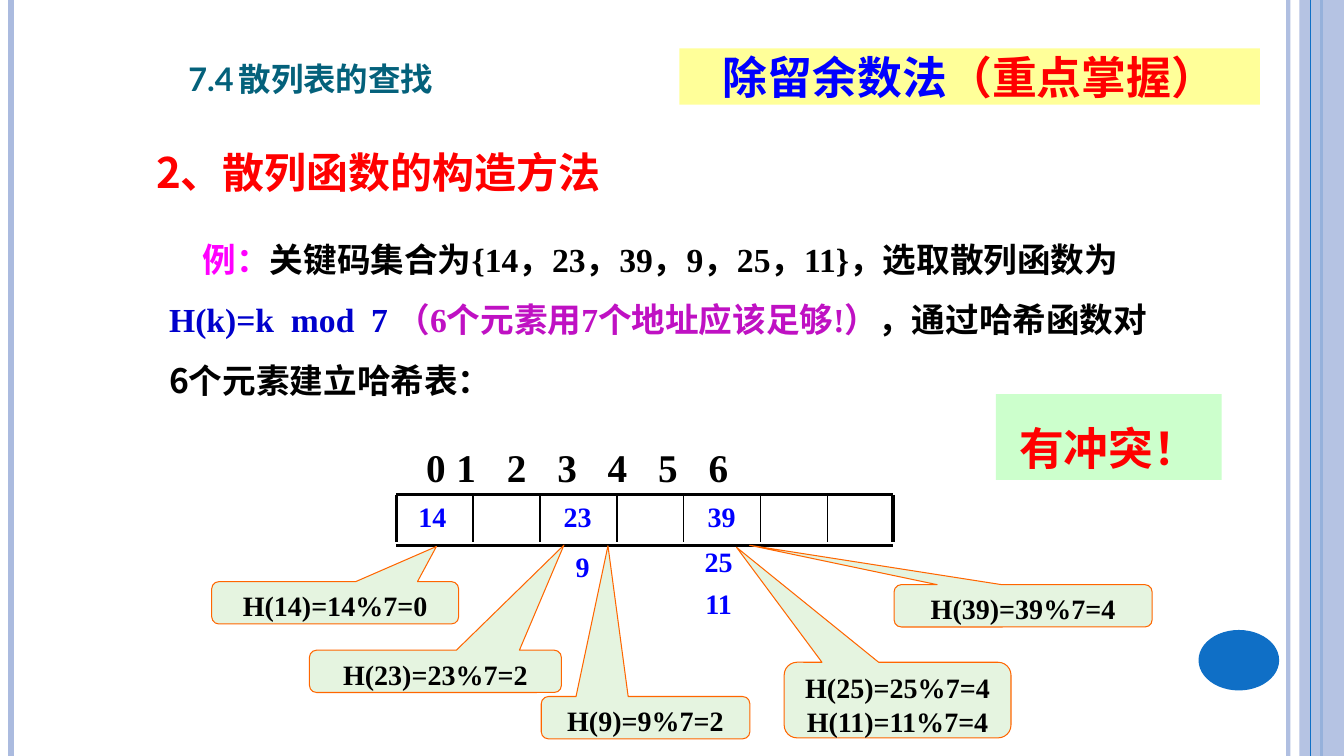
from dataclasses import dataclass
from itertools import accumulate

from pptx import Presentation
from pptx import util as u
from pptx.dml import color as dml
from pptx.enum import shapes, text
from pptx.oxml import ns
from lxml import etree

WIDE, HIGH = u.Inches(13.33), u.Inches(7.5)
COLS, ROWS = 40, 22.5
SERIF, SANS = "Times New Roman", "Noto Sans CJK SC"
HEX = {
    "mist": "ABBBDF", "ocean": "0F6FC6", "teal": "04617B", "red": "FF0000",
    "blue": "0000FF", "navy": "0000CC", "pink": "FF00FF", "plum": "BF11C3",
    "black": "000000", "cream": "FFFF99", "mint": "CCFFCC", "leaf": "E5F4E0",
    "orange": "FF6600",
}


@dataclass
class Box:
    x: float
    y: float
    w: float
    h: float


@dataclass
class Span:
    words: str
    hue: str
    font: str = SERIF


@dataclass
class Rule:
    x: float
    y: float
    to_x: float
    to_y: float
    hue: str
    width: float
    alpha: int = 100


@dataclass
class Slot:
    words: str
    x: float
    y: float


@dataclass
class Callout:
    lines: list[str]
    box: Box
    tip: tuple[float, float]


def across(cols: float) -> int:
    return round(cols * WIDE / COLS)


def down(rows: float) -> int:
    return round(rows * HIGH / ROWS)


def frame(box: Box) -> tuple[int, int, int, int]:
    return across(box.x), down(box.y), across(box.w), down(box.h)


def tint(target, hue: str, alpha: int = 100) -> None:
    target.solid()
    target.fore_color.rgb = dml.RGBColor.from_string(HEX[hue])
    if alpha < 100:
        node = target._xPr.find(".//" + ns.qn("a:srgbClr"))
        etree.SubElement(node, ns.qn("a:alpha"), val=str(alpha * 1000))


def write(shape, *paras: list[Span], size: float, align=text.PP_ALIGN.LEFT,
          anchor=text.MSO_ANCHOR.TOP, space: float = 0, indent: float = 0,
          margin: float = 0, tabs: tuple = (), caps: bool = False) -> None:
    body = shape.text_frame
    body.word_wrap = True
    body.vertical_anchor = anchor
    for k, spans in enumerate(paras):
        para = body.add_paragraph() if k else body.paragraphs[0]
        para.alignment = align
        if space:
            para.line_spacing = space
        props = para._p.get_or_add_pPr()
        props.set("marL", str(across(margin)))
        props.set("indent", str(across(indent)))
        if tabs:
            stops = etree.SubElement(props, ns.qn("a:tabLst"))
            for stop in tabs:
                etree.SubElement(stops, ns.qn("a:tab"), pos=str(across(stop)), algn="l")
        for span in spans:
            run = para.add_run()
            run.text = span.words
            run.font.size = u.Pt(size)
            run.font.bold = True
            run.font.name = span.font
            run.font.color.rgb = dml.RGBColor.from_string(HEX[span.hue])
            marks = run._r.get_or_add_rPr()
            etree.SubElement(marks, ns.qn("a:ea"), typeface=SANS)
            if caps:
                marks.set("cap", "small")


def label(slide, box: Box, *paras: list[Span], **style) -> None:
    write(slide.shapes.add_textbox(*frame(box)), *paras, **style)


def block(slide, kind, box: Box, hue: str, alpha: int = 100):
    shape = slide.shapes.add_shape(kind, *frame(box))
    shape.shadow.inherit = False
    tint(shape.fill, hue, alpha)
    shape.line.fill.background()
    return shape


def stroke(slide, rule: Rule) -> None:
    line = slide.shapes.add_connector(
        shapes.MSO_CONNECTOR.STRAIGHT, across(rule.x), down(rule.y),
        across(rule.to_x), down(rule.to_y))
    line.line.width = u.Pt(rule.width)
    tint(line.line.fill, rule.hue, rule.alpha)
    etree.SubElement(line._element.spPr, ns.qn("a:effectLst"))


def bubble(slide, note: Callout) -> None:
    shape = block(slide, shapes.MSO_SHAPE.ROUNDED_RECTANGULAR_CALLOUT, note.box, "leaf")
    shape.adjustments[0], shape.adjustments[1] = note.tip
    shape.adjustments[2] = 0.17
    tint(shape.line.fill, "orange")
    shape.line.width = u.Pt(0.75)
    write(shape, *[[Span(line, "black")] for line in note.lines], size=20, align=MID)


def upright(x: float, hue: str, width: float, alpha: int = 100) -> Rule:
    return Rule(x, 0, x, ROWS, hue, width, alpha)


MID = text.PP_ALIGN.CENTER
RECT = shapes.MSO_SHAPE.RECTANGLE
LEFT, TOP, BASE = 11.79, 14.73, 16.23
EDGES = list(accumulate([2.29, 1.99] * 3 + [1.95], initial=LEFT))

SLOTS = [
    Slot("14", 12.06, TOP), Slot("23", 16.38, TOP), Slot("39", 20.67, TOP),
    Slot("9", 16.53, 16.2), Slot("25", 20.58, 16.05), Slot("11", 20.58, 17.31),
]
NOTES = [
    Callout(["H(14)=14%7=0"], Box(6.3, 17.31, 7.35, 1.26), (0.41, -1.33)),
    Callout(["H(25)=25%7=4", "H(11)=11%7=4"], Box(23.34, 19.71, 6.75, 2.25), (-0.71, -2.02)),
    Callout(["H(23)=23%7=2"], Box(9.21, 19.35, 7.5, 1.26), (0.51, -2.98)),
    Callout(["H(39)=39%7=4"], Box(26.61, 17.4, 7.68, 1.26), (-1.06, -1.43)),
    Callout(["H(9)=9%7=2"], Box(16.11, 20.73, 6.21, 1.26), (-0.18, -4.06)),
]


def border(slide) -> None:
    for rule in (upright(38.34, "mist", 3, 93), upright(0.33, "mist", 4.5),
                 upright(39.33, "ocean", 1.5)):
        stroke(slide, rule)
    block(slide, RECT, Box(38.67, 0, 1.33, ROWS), "mist", 87)
    stroke(slide, upright(39, "ocean", 0.75))
    block(slide, shapes.MSO_SHAPE.OVAL, Box(35.67, 18.75, 2.4, 1.8), "ocean")


def heading(slide) -> None:
    label(slide, Box(5.31, 1.29, 11.61, 1.83), [Span("7.4\t散列表的查找", "teal", "Lato")],
          size=29, anchor=text.MSO_ANCHOR.BOTTOM, tabs=(2.1,), caps=True)
    label(slide, Box(4.35, 3.45, 15.84, 2.58), [Span("2、散列函数的构造方法", "red", SANS)],
          size=30, space=1.5, margin=1.26, indent=-1.26)
    write(block(slide, RECT, Box(20.22, 1.44, 17.28, 1.68), "cream"),
          [Span("除留余数法", "blue", SANS), Span("（重点掌握）", "red", SANS)],
          size=32, align=MID, anchor=text.MSO_ANCHOR.MIDDLE)
    label(slide, Box(4.74, 6.36, 29.88, 5.76), [
        Span("例：", "pink"),
        Span("关键码集合为{14，23，39，9，25，11}，选取散列函数为", "black"),
        Span("H(k)=k  mod  7 ", "navy"),
        Span("（6个元素用7个地址应该足够!）", "plum"),
        Span("，", "black"),
        Span("通过哈希函数对6个元素建立哈希表：", "black", SANS),
    ], size=24, space=1.5, indent=1)


def table(slide) -> None:
    label(slide, Box(LEFT, 13.05, 15.12, 1.71),
          [Span("\t".join(map(str, range(7))), "black")], size=28, indent=0.6,
          tabs=(2.64, 4.95, 6.99, 9.03, 11.37, 13.11))
    for y in (TOP, BASE):
        stroke(slide, Rule(LEFT, y, EDGES[-1], y, "black", 2.25))
    for x in EDGES:
        outer = x in (EDGES[0], EDGES[-1])
        stroke(slide, Rule(x, TOP, x, BASE - 0.09, "black", 2.25 if outer else 1))
    for slot in SLOTS:
        label(slide, Box(slot.x, slot.y, 1.62, 1.41), [Span(slot.words, "blue")],
              size=20, align=MID)


def main() -> None:
    deck = Presentation()
    deck.slide_width, deck.slide_height = WIDE, HIGH
    slide = deck.slides.add_slide(deck.slide_layouts[6])
    border(slide)
    heading(slide)
    table(slide)
    for note in NOTES:
        bubble(slide, note)
    write(block(slide, RECT, Box(29.64, 11.73, 6.72, 2.55), "mint"),
          [Span("有冲突！", "red", SANS)], size=32, align=MID, space=1.4)
    deck.save("out.pptx")


if __name__ == "__main__":
    main()
